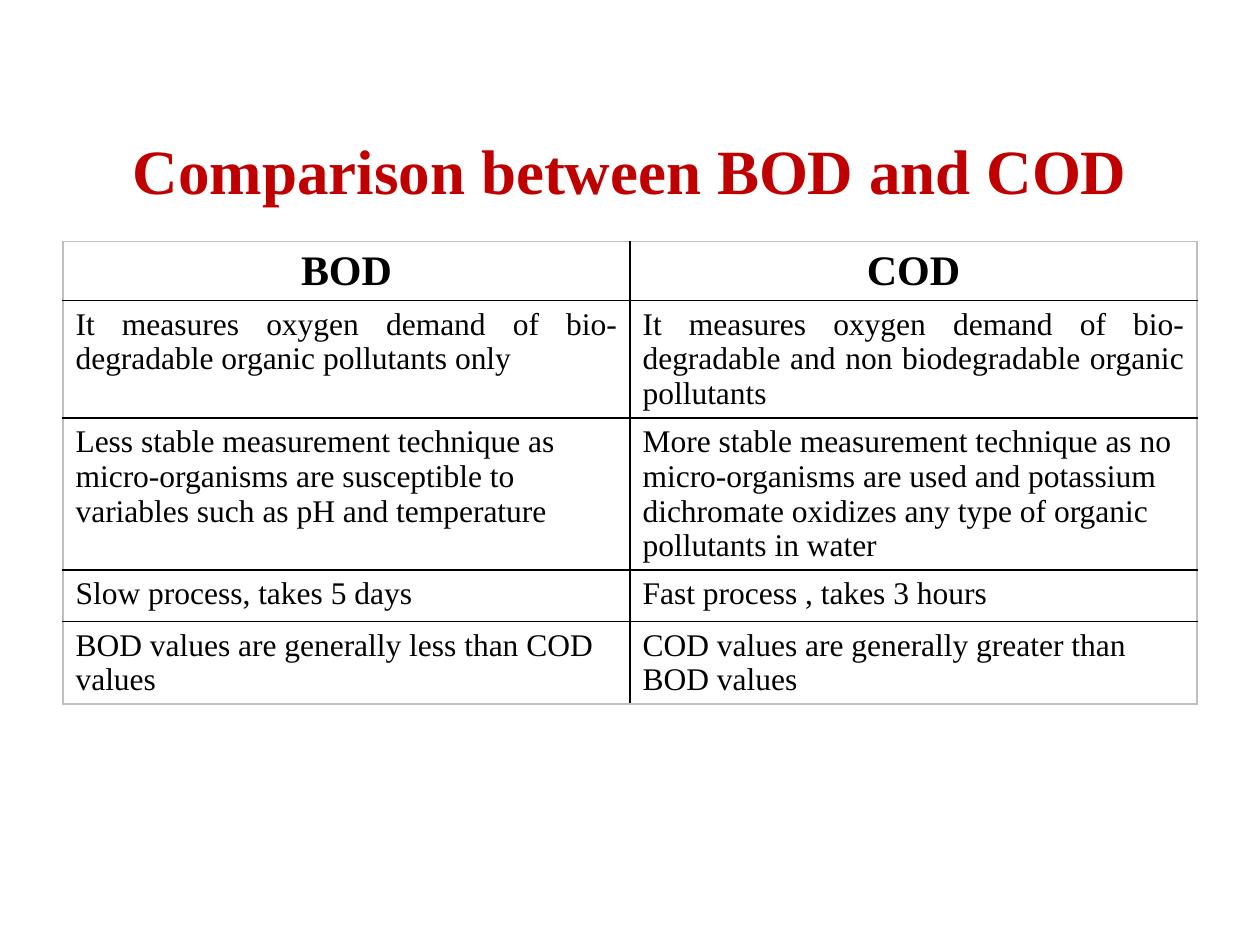
import pptx
import pptx.util
import pptx.dml.color
import pptx.enum.text
from lxml import etree
from pptx.oxml.ns import qn

Cm, Pt = pptx.util.Cm, pptx.util.Pt
RGB = pptx.dml.color.RGBColor
ALIGN = pptx.enum.text.PP_ALIGN
ANCHOR = pptx.enum.text.MSO_ANCHOR

# Content
TITLE = "Comparison between BOD and COD"
HEADS = ("BOD", "COD")
ROWS = [
    ("It measures oxygen demand of bio-degradable organic pollutants only",
     "It measures oxygen demand of bio-degradable and non biodegradable "
     "organic pollutants"),
    ("Less stable measurement technique as micro-organisms are susceptible "
     "to variables such as pH and temperature",
     "More stable measurement technique as no micro-organisms are used and "
     "potassium dichromate oxidizes any type of organic pollutants in water"),
    ("Slow process, takes 5 days", "Fast process , takes 3 hours"),
    ("BOD values are generally less than COD values",
     "COD values are generally greater than BOD values"),
]

# Style
FONT = "Times New Roman"
RED = RGB(0xC0, 0x00, 0x00)
BLACK = RGB(0x00, 0x00, 0x00)
GREY = RGB(0xBF, 0xBF, 0xBF)
HIGH = Cm(1.04)  # least row height
WIDE = Cm(11.43)  # column width


def write(frame, text, size=18, color=BLACK, bold=False, align=ALIGN.LEFT):
    para = frame.paragraphs[0]
    para.alignment = align
    run = para.add_run()
    run.text = text
    run.font.name, run.font.size = FONT, Pt(size)
    run.font.bold, run.font.color.rgb = bold, color


def edge(cell, colors):
    """Draw 1 pt cell borders; colors run left, right, top, bottom."""
    props = cell._tc.get_or_add_tcPr()
    for spot, (side, color) in enumerate(zip("LRTB", colors)):
        line = etree.Element(qn(f"a:ln{side}"), w=str(Pt(1)))
        fill = etree.SubElement(line, qn("a:solidFill"))
        etree.SubElement(fill, qn("a:srgbClr"), val=str(color))
        props.insert(spot, line)


deck = pptx.Presentation()
deck.slide_width, deck.slide_height = Cm(25.4), Cm(19.05)
slide = deck.slides.add_slide(deck.slide_layouts[5])

# Title
title = slide.shapes.title
title.left, title.top = Cm(1.75), Cm(2.11)
title.width, title.height = Cm(21.9), Cm(2.59)
title.text_frame.word_wrap = True
title.text_frame.vertical_anchor = ANCHOR.MIDDLE
write(title.text_frame, TITLE, size=36, color=RED, bold=True,
      align=ALIGN.CENTER)

# Table
grid = [HEADS] + ROWS
rows, cols = len(grid), len(HEADS)
table = slide.shapes.add_table(rows, cols, Cm(1.27), Cm(4.87),
                               WIDE * cols, HIGH * rows).table
table.first_row = table.horz_banding = False

for r, texts in enumerate(grid):
    for c, text in enumerate(texts):
        cell = table.cell(r, c)
        cell.fill.background()
        outer = (c == 0, c == cols - 1, r == 0, r == rows - 1)
        edge(cell, [GREY if out else BLACK for out in outer])
        if r == 0:
            write(cell.text_frame, text, size=24, bold=True,
                  align=ALIGN.CENTER)
        else:
            write(cell.text_frame, text,
                  align=ALIGN.JUSTIFY if r == 1 else ALIGN.LEFT)

deck.save("out.pptx")
